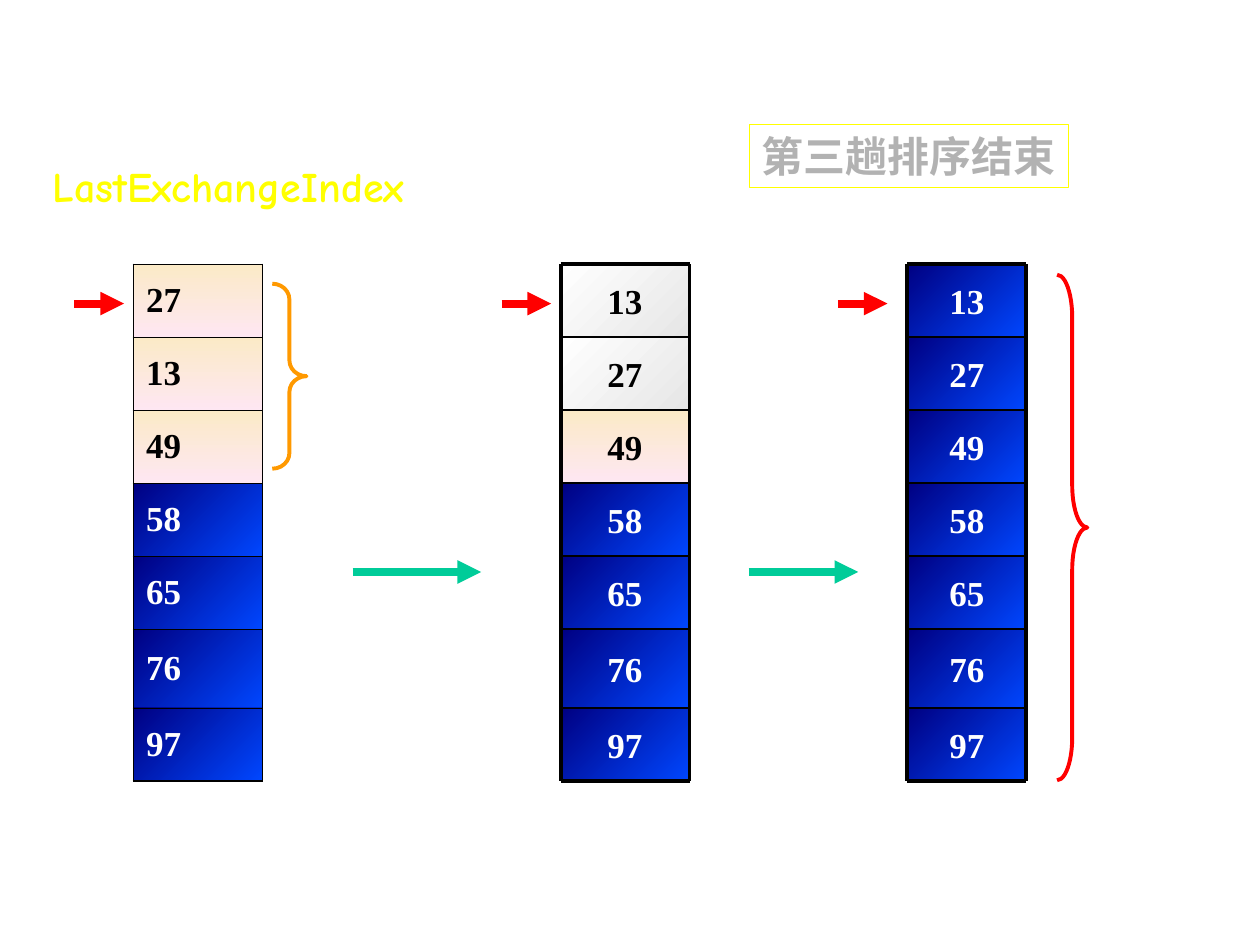
from dataclasses import dataclass
from itertools import accumulate

from lxml.etree import SubElement
from pptx import Presentation
from pptx.dml.color import RGBColor
from pptx.enum.shapes import MSO_CONNECTOR, MSO_SHAPE
from pptx.enum.text import MSO_ANCHOR, MSO_AUTO_SIZE, PP_ALIGN
from pptx.oxml.ns import qn
from pptx.util import Cm, Pt


@dataclass(frozen=True)
class Theme:
    # Gradients are start colour, end colour, clockwise angle
    sorted_fill: tuple = ("0047FF", "000082", 225)
    pending_fill: tuple = ("FBEAC7", "FEE7F2", 90)
    checked_fill: tuple = ("E6E6E6", "FFFFFF", 225)
    black: str = "000000"
    white: str = "FFFFFF"
    yellow: str = "FFFF00"
    grey: str = "B2B2B2"
    red: str = "FF0000"
    green: str = "00CC99"
    orange: str = "FF9900"
    label_font: str = "Comic Neue"
    number_font: str = "Times New Roman"
    label_size: int = 24
    number_size: int = 20
    arrow_width: float = 4.5
    frame_width: float = 2.25
    rule_width: float = 1


T = Theme()
ROW_HEIGHTS = [1.47] * 5 + [1.59, 1.47]
COLUMN_TOP = 5.33


def rgb(color):
    return RGBColor.from_string(color)


def set_gradient(fill, gradient):
    *colors, angle = gradient
    fill.gradient()
    fill.gradient_angle = 360 - angle
    for stop, color in zip(fill.gradient_stops, colors):
        stop.color.rgb = rgb(color)


def set_line(line, color, width):
    line.color.rgb = rgb(color)
    line.width = Pt(width)


def style_text(p, text, font, size, color):
    p.text = text
    p.font.name = font
    p.font.size = Pt(size)
    p.font.bold = True
    p.font.color.rgb = rgb(color)


def style_number(p, number, gradient):
    color = T.white if gradient == T.sorted_fill else T.black
    style_text(p, str(number), T.number_font, T.number_size, color)
    p.space_before = Pt(5)


def add_line(shapes, x1, y1, x2, y2, color, width, arrow=False):
    ends = [Cm(v) for v in (x1, y1, x2, y2)]
    c = shapes.add_connector(MSO_CONNECTOR.STRAIGHT, *ends)
    set_line(c.line, color, width)
    if arrow:
        SubElement(c.line._get_or_add_ln(), qn("a:tailEnd"), type="triangle")
    SubElement(c._element.spPr, qn("a:effectLst"))


def add_arrow(s, x, y, length, color):
    add_line(s.shapes, x, y, x + length, y, color, T.arrow_width, arrow=True)


def add_label(s, x, y, w, h, text, color, frame=None):
    box = s.shapes.add_textbox(Cm(x), Cm(y), Cm(w), Cm(h))
    if frame:
        set_line(box.line, frame, 0.75)
    tf = box.text_frame
    tf.word_wrap = False
    tf.auto_size = MSO_AUTO_SIZE.SHAPE_TO_FIT_TEXT
    style_text(tf.paragraphs[0], text, T.label_font, T.label_size, color)


def add_brace(s, x, y, w, h, color, curve):
    sp = s.shapes.add_shape(MSO_SHAPE.RIGHT_BRACE, Cm(x), Cm(y), Cm(w), Cm(h))
    sp.shadow.inherit = False
    sp.fill.background()
    sp.adjustments[0] = curve
    set_line(sp.line, color, T.frame_width)


def set_borders(cell, widths):
    tc_pr = cell._tc.get_or_add_tcPr()
    for i, (side, width) in enumerate(widths.items()):
        ln = SubElement(tc_pr, qn(f"a:ln{side}"), w=str(Pt(width)))
        fill = SubElement(ln, qn("a:solidFill"))
        SubElement(fill, qn("a:srgbClr"), val=T.black)
        tc_pr.insert(i, ln)  # borders come before the cell fill


def add_number_table(s, x, y, w, numbers, fills):
    last = len(numbers) - 1
    frame = s.shapes.add_table(len(numbers), 1, Cm(x), Cm(y), Cm(w),
                               Cm(sum(ROW_HEIGHTS)))
    table = frame.table
    table.first_row = table.horz_banding = False
    table.columns[0].width = Cm(w)
    for i, (number, gradient) in enumerate(zip(numbers, fills)):
        table.rows[i].height = Cm(ROW_HEIGHTS[i])
        cell = table.cell(i, 0)
        cell.vertical_anchor = MSO_ANCHOR.MIDDLE
        style_number(cell.text_frame.paragraphs[0], number, gradient)
        set_gradient(cell.fill, gradient)
        set_borders(cell, {"L": 1.08, "R": 1.08,
                           "T": 1.08 if i == 0 else 0.45,
                           "B": 1.08 if i == last else 0.45})


def add_number_column(s, x, y, w, numbers, fills):
    shapes = s.shapes.add_group_shape().shapes
    edges = [y + dy for dy in accumulate(ROW_HEIGHTS, initial=0)]
    # Cells
    for number, gradient, top, h in zip(numbers, fills, edges, ROW_HEIGHTS):
        sp = shapes.add_shape(MSO_SHAPE.RECTANGLE, Cm(x), Cm(top), Cm(w), Cm(h))
        sp.shadow.inherit = False
        sp.line.fill.background()
        set_gradient(sp.fill, gradient)
        tf = sp.text_frame
        tf.vertical_anchor = MSO_ANCHOR.MIDDLE
        p = tf.paragraphs[0]
        style_number(p, number, gradient)
        p.alignment = PP_ALIGN.CENTER
    # Rules and frame
    for edge in edges:
        outer = edge in (edges[0], edges[-1])
        add_line(shapes, x, edge, x + w, edge, T.black,
                 T.frame_width if outer else T.rule_width)
    for side in (x, x + w):
        add_line(shapes, side, edges[0], side, edges[-1], T.black, T.frame_width)


def build_sorting_slide(prs):
    s = prs.slides.add_slide(prs.slide_layouts[6])
    done = [13, 27, 49, 58, 65, 76, 97]

    # Step arrows between the columns and index arrows beside them
    for x, length in ((7.11, 2.59), (15.09, 2.21)):
        add_arrow(s, x, 11.53, length, T.green)
    for x in (1.5, 10.11, 16.89):
        add_arrow(s, x, 6.12, 1, T.red)

    # Labels
    add_label(s, 15.11, 2.51, 6.43, 1.27, "第三趟排序结束", T.grey, T.yellow)
    add_label(s, 0.81, 3.12, 8.64, 1.27, "LastExchangeIndex", T.yellow)

    # Three states of the list
    add_number_table(s, 2.69, COLUMN_TOP, 2.6, [27, 13] + done[2:],
                     [T.pending_fill] * 3 + [T.sorted_fill] * 4)
    add_number_column(s, 11.3, COLUMN_TOP, 2.6, done,
                      [T.checked_fill] * 2 + [T.pending_fill]
                      + [T.sorted_fill] * 4)
    add_number_column(s, 18.29, COLUMN_TOP, 2.4, done, [T.sorted_fill] * 7)

    # Braces over the pending and the sorted ranges
    add_brace(s, 5.49, 5.72, 0.69, 3.73, T.orange, 0.46)
    add_brace(s, 21.31, 5.54, 0.61, 10.19, T.red, 1.4)


def main():
    prs = Presentation()
    prs.slide_width, prs.slide_height = Cm(25.4), Cm(19.05)
    build_sorting_slide(prs)
    prs.save("out.pptx")


if __name__ == "__main__":
    main()
